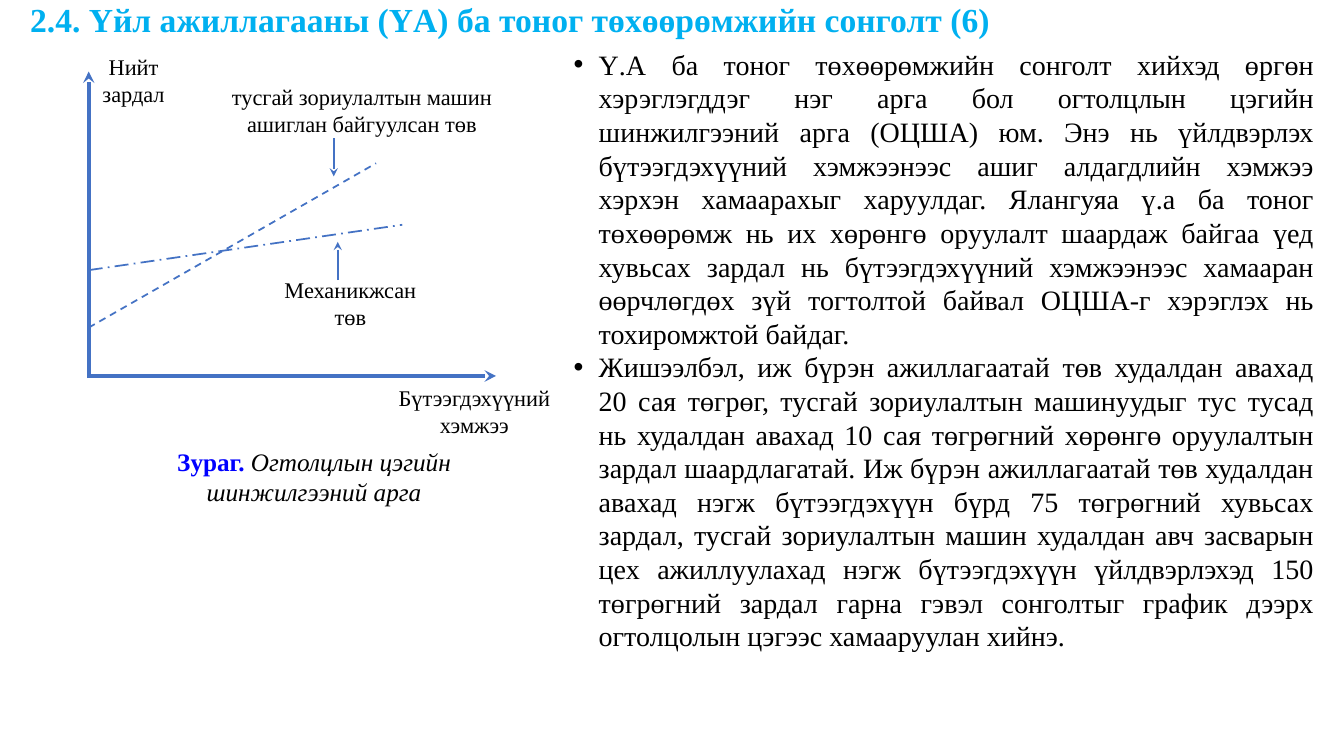
import dataclasses
import typing

import pptx
import pptx.dml.color
import pptx.enum.dml
import pptx.enum.shapes
import pptx.enum.text
import pptx.oxml
import pptx.oxml.ns
import pptx.slide
import pptx.util

FONT = "Times New Roman"
COLORS = {"title": "00B0F0", "text": "000000", "caption": "0000FF", "line": "4472C4"}
ALIGN = pptx.enum.text.PP_ALIGN
DASH = pptx.enum.dml.MSO_LINE
Point = typing.Tuple[float, float]


@dataclasses.dataclass
class Span:
    text: str
    color: str = "text"
    bold: bool = False
    italic: bool = False


@dataclasses.dataclass
class TextBlock:
    left: float
    top: float
    width: float
    height: float
    size: int
    paragraphs: typing.List[typing.List[Span]]
    align: ALIGN = ALIGN.CENTER
    bullet: bool = False
    middle: bool = False
    line_spacing: float = 1.0


@dataclasses.dataclass
class Line:
    start: Point
    end: Point
    width: float
    arrow: bool = False
    dash: typing.Optional[DASH] = None


TITLE = "2.4. Үйл ажиллагааны (ҮА) ба тоног төхөөрөмжийн сонголт (6)"
BODY = [
    "Ү.А ба тоног төхөөрөмжийн сонголт хийхэд өргөн хэрэглэгддэг нэг арга бол "
    "огтолцлын цэгийн шинжилгээний арга (ОЦША) юм. Энэ нь үйлдвэрлэх "
    "бүтээгдэхүүний хэмжээнээс ашиг алдагдлийн хэмжээ хэрхэн хамаарахыг харуулдаг. "
    "Ялангуяа ү.а ба тоног төхөөрөмж нь их хөрөнгө оруулалт шаардаж байгаа үед "
    "хувьсах зардал нь бүтээгдэхүүний хэмжээнээс хамааран өөрчлөгдөх зүй тогтолтой "
    "байвал ОЦША-г хэрэглэх нь тохиромжтой байдаг.",
    "Жишээлбэл, иж бүрэн ажиллагаатай төв худалдан авахад 20 сая төгрөг, тусгай "
    "зориулалтын машинуудыг тус тусад нь худалдан авахад 10 сая төгрөгний хөрөнгө "
    "оруулалтын зардал шаардлагатай. Иж бүрэн ажиллагаатай төв худалдан авахад нэгж "
    "бүтээгдэхүүн бүрд 75 төгрөгний хувьсах зардал, тусгай зориулалтын машин "
    "худалдан авч засварын цех ажиллуулахад нэгж бүтээгдэхүүн үйлдвэрлэхэд 150 "
    "төгрөгний зардал гарна гэвэл сонголтыг график дээрх огтолцолын цэгээс "
    "хамааруулан хийнэ.",
]

TEXT_BLOCKS = [
    TextBlock(0.2, 0.01, 12.8, 0.41, 24, [[Span(TITLE, "title", bold=True)]],
              ALIGN.JUSTIFY, middle=True, line_spacing=0.9),
    TextBlock(5.59, 0.42, 7.54, 6.91, 20, [[Span(text)] for text in BODY],
              ALIGN.JUSTIFY, bullet=True),
    TextBlock(1.11, 4.38, 4.01, 0.78, 18, [[
        Span("Зураг. ", "caption", bold=True),
        Span("Огтолцлын цэгийн шинжилгээний арга", italic=True)]]),
    TextBlock(2.62, 2.69, 1.71, 0.45, 16, [[Span("Механикжсан төв")]]),
    TextBlock(2.17, 0.78, 2.84, 0.78, 16,
              [[Span("тусгай зориулалтын машин ашиглан байгуулсан төв")]]),
    TextBlock(3.82, 3.76, 1.77, 0.45, 16, [[Span("Бүтээгдэхүүний хэмжээ")]]),
    TextBlock(0.73, 0.48, 1.19, 0.45, 16, [[Span("Нийт зардал")]]),
]

LINES = [
    Line((0.88, 3.75), (0.88, 0.71), 2.75, arrow=True),
    Line((0.87, 3.73), (4.92, 3.73), 2.75, arrow=True),
    Line((0.88, 3.25), (3.73, 1.62), 1.25, dash=DASH.DASH),
    Line((0.88, 2.68), (3.99, 2.23), 1.25, dash=DASH.LONG_DASH_DOT),
    Line((3.31, 1.37), (3.31, 1.75), 1.5, arrow=True),
    Line((3.35, 2.78), (3.35, 2.4), 1.5, arrow=True),
]


def rgb(name: str) -> pptx.dml.color.RGBColor:
    return pptx.dml.color.RGBColor.from_string(COLORS[name])


def add_child(parent: typing.Any, tag: str, **attributes: str) -> None:
    child = pptx.oxml.parse_xml(f"<{tag} {pptx.oxml.ns.nsdecls('a')}/>")
    for name, value in attributes.items():
        child.set(name, value)
    parent.append(child)


def draw_text(page: pptx.slide.Slide, block: TextBlock) -> None:
    box = page.shapes.add_textbox(*map(
        pptx.util.Inches, (block.left, block.top, block.width, block.height)))
    frame = box.text_frame
    frame.word_wrap = True
    anchors = pptx.enum.text.MSO_ANCHOR
    frame.vertical_anchor = anchors.MIDDLE if block.middle else anchors.TOP
    frame.text = "\n".join("" for _ in block.paragraphs)
    for para, spans in zip(frame.paragraphs, block.paragraphs):
        para.alignment = block.align
        para.line_spacing = block.line_spacing
        if block.bullet:
            properties = para._p.get_or_add_pPr()
            indent = pptx.util.Inches(0.25)
            properties.set("marL", str(indent))
            properties.set("indent", str(-indent))
            add_child(properties, "a:buFont", typeface="Arial")
            add_child(properties, "a:buChar", char="•")
        for span in spans:
            run = para.add_run()
            run.text = span.text
            run.font.name = FONT
            run.font.size = pptx.util.Pt(block.size)
            run.font.bold = span.bold
            run.font.italic = span.italic
            run.font.color.rgb = rgb(span.color)


def draw_line(page: pptx.slide.Slide, line: Line) -> None:
    connector = page.shapes.add_connector(
        pptx.enum.shapes.MSO_CONNECTOR.STRAIGHT,
        *map(pptx.util.Inches, line.start + line.end))
    connector.line.color.rgb = rgb("line")
    connector.line.width = pptx.util.Pt(line.width)
    if line.dash is not None:
        connector.line.dash_style = line.dash
    if line.arrow:
        add_child(connector.line._get_or_add_ln(), "a:tailEnd", type="stealth")
    add_child(connector._element.spPr, "a:effectLst")


def main() -> None:
    deck = pptx.Presentation()
    deck.slide_width = pptx.util.Inches(13.33)
    deck.slide_height = pptx.util.Inches(7.5)
    page = deck.slides.add_slide(deck.slide_layouts[6])
    for line in LINES:
        draw_line(page, line)
    for block in TEXT_BLOCKS:
        draw_text(page, block)
    deck.save("out.pptx")


if __name__ == "__main__":
    main()
